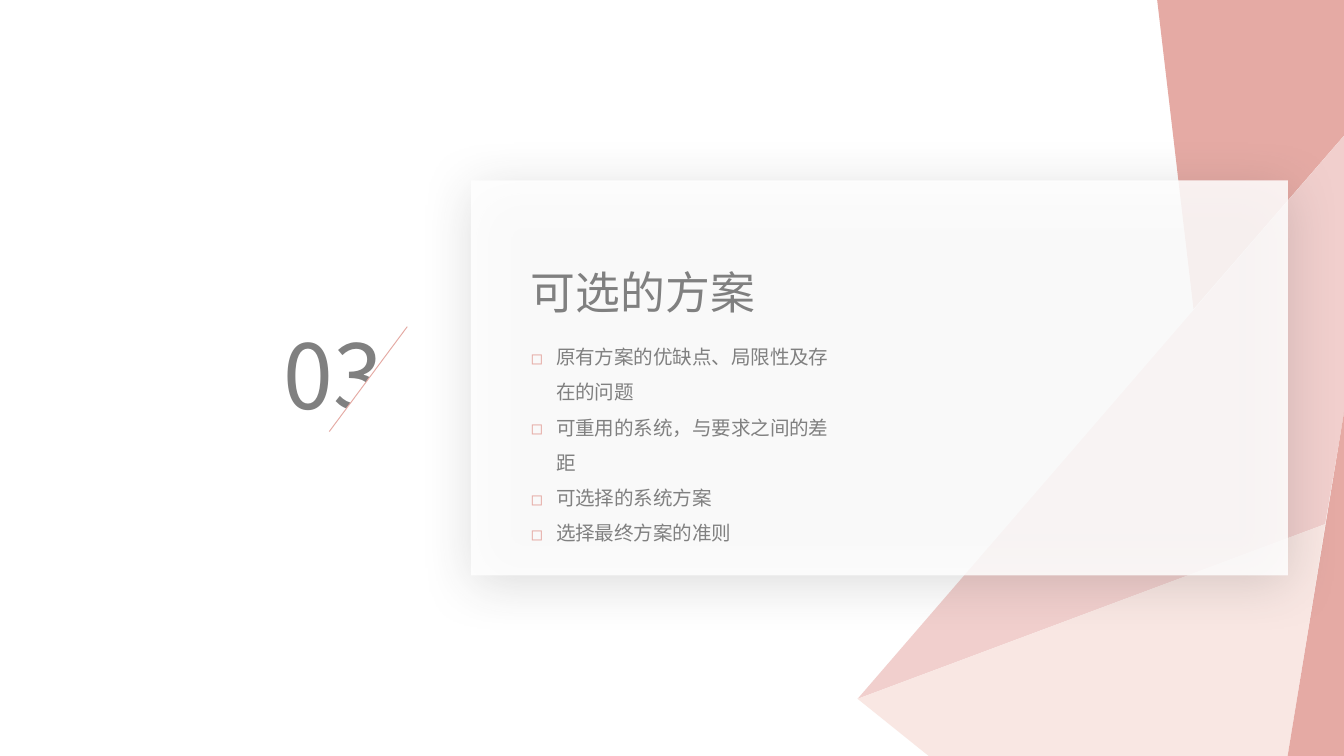
from lxml import etree
from pptx import Presentation
from pptx import util as u
from pptx.dml.color import RGBColor
from pptx.enum import shapes, text
from pptx.oxml.ns import qn

NUMBER = "03"
TITLE = "可选的方案"
ITEMS = [
    "原有方案的优缺点、局限性及存在的问题",
    "可重用的系统，与要求之间的差距",
    "可选择的系统方案",
    "选择最终方案的准则",
]
THEME = {
    "font": "Noto Sans CJK SC",
    "text": "808080", "white": "FFFFFF", "shadow": "333333",
    "rose": "E5AAA4", "pink": "F1CFCD", "blush": "F9E7E3",
    "number_size": 48, "title_size": 24, "body_size": 10.5,
}
WIDTH, HEIGHT = 720, 405
TIP, FOLD = (459.4, 374.4), (709.9, 280.8)
RIGHT_UPPER, RIGHT_LOWER = (WIDTH, 72.7), (WIDTH, 221)
BOTTOM = (689.8, HEIGHT)
FACETS = [
    ("rose", [(639.4, 165.6), (619.9, 0), (WIDTH, 0), RIGHT_UPPER]),
    ("pink", [TIP, FOLD, RIGHT_LOWER, RIGHT_UPPER]),
    ("blush", [TIP, (497.5, HEIGHT), BOTTOM, FOLD]),
    ("rose", [BOTTOM, (WIDTH, HEIGHT), RIGHT_LOWER]),
]
CARD = (252.3, 96.7, 437.6, 211.6)
NUMBER_BOX = (144.7, 167.8, 70.6, 65.5)
TITLE_BOX = (277.2, 138.2, 135.4, 36)
BODY_BOX = (277.2, 175, 180, 121.7)
CUT = (176.4, 175, 41.8, 56.2)
INDENT = 13.5


def color(name):
    return RGBColor.from_string(THEME[name])


def points(values):
    return [u.Pt(value) for value in values]


def add_xml(parent, tag, **attributes):
    return etree.SubElement(parent, qn(tag), attributes)


def set_all(target, values):
    for name, value in values.items():
        setattr(target, name, value)


def paint(shape, name):
    shape.shadow.inherit = False
    shape.fill.solid()
    shape.fill.fore_color.rgb = color(name)
    shape.line.fill.background()


def place(shape, box):
    set_all(shape, dict(zip(("left", "top", "width", "height"), points(box))))


def write(shape, lines, size, wrap=True, spacing=1.0):
    frame = shape.text_frame
    frame.text = "\n".join(lines)
    set_all(frame, {
        "word_wrap": wrap,
        "auto_size": text.MSO_AUTO_SIZE.SHAPE_TO_FIT_TEXT,
        "vertical_anchor": text.MSO_ANCHOR.TOP,
    })
    for paragraph in frame.paragraphs:
        set_all(paragraph, {
            "alignment": text.PP_ALIGN.LEFT,
            "line_spacing": spacing,
            "space_before": u.Pt(0),
        })
        font = paragraph.runs[0].font
        set_all(font, {"name": THEME["font"], "size": u.Pt(THEME[size])})
        font.color.rgb = color("text")
        add_xml(paragraph.runs[0]._r.get_or_add_rPr(), "a:ea", typeface=THEME["font"])


def add_bullet(paragraph):
    properties = paragraph._p.get_or_add_pPr()
    properties.set("marL", str(u.Pt(INDENT)))
    properties.set("indent", str(-u.Pt(INDENT)))
    add_xml(add_xml(properties, "a:buClr"), "a:srgbClr", val=THEME["rose"])
    add_xml(properties, "a:buFont", typeface=THEME["font"])
    add_xml(properties, "a:buChar", char="◻")


def add_facet(slide, name, corners):
    corners = [points(corner) for corner in corners]
    builder = slide.shapes.build_freeform(*corners[0])
    builder.add_line_segments(corners[1:], close=True)
    paint(builder.convert_to_shape(), name)


def add_card(slide):
    card = slide.shapes.add_shape(shapes.MSO_SHAPE.RECTANGLE, *points(CARD))
    paint(card, "white")
    properties = card._element.spPr
    add_xml(properties.find(".//" + qn("a:srgbClr")), "a:alpha", val="85000")
    shadow = add_xml(properties.find(qn("a:effectLst")), "a:outerShdw",
                     blurRad=str(u.Pt(29)), dist=str(u.Pt(5)),
                     dir=str(77 * 60000), algn="ctr", rotWithShape="0")
    shade = add_xml(shadow, "a:srgbClr", val=THEME["shadow"])
    add_xml(shade, "a:alpha", val="20000")


def add_cut(slide):
    left, top, width, height = CUT
    box = (left + (width - height) / 2, top + (height - width) / 2, height, width)
    triangle = slide.shapes.add_shape(shapes.MSO_SHAPE.RIGHT_TRIANGLE, *points(box))
    triangle.rotation = 270
    paint(triangle, "white")
    line = slide.shapes.add_connector(
        shapes.MSO_CONNECTOR.STRAIGHT,
        *points((left + width, top, left, top + height)))
    line.line.color.rgb = color("rose")
    line.line.width = u.Pt(0.5)
    add_xml(line._element.spPr, "a:effectLst")


def main():
    presentation = Presentation()
    set_all(presentation, {"slide_width": u.Pt(WIDTH), "slide_height": u.Pt(HEIGHT)})
    slide = presentation.slides.add_slide(presentation.slide_layouts[1])
    title, body = slide.shapes.title, slide.placeholders[1]

    for name, corners in FACETS:
        add_facet(slide, name, corners)
    add_card(slide)
    number = slide.shapes.add_textbox(*points(NUMBER_BOX))
    write(number, [NUMBER], "number_size")
    add_cut(slide)

    write(title, [TITLE], "title_size", wrap=False)
    write(body, ITEMS, "body_size", spacing=1.5)
    for paragraph in body.text_frame.paragraphs:
        add_bullet(paragraph)
    for placeholder, box in ((title, TITLE_BOX), (body, BODY_BOX)):
        place(placeholder, box)
        slide.shapes._spTree.append(placeholder._element)

    presentation.save("out.pptx")


if __name__ == "__main__":
    main()
